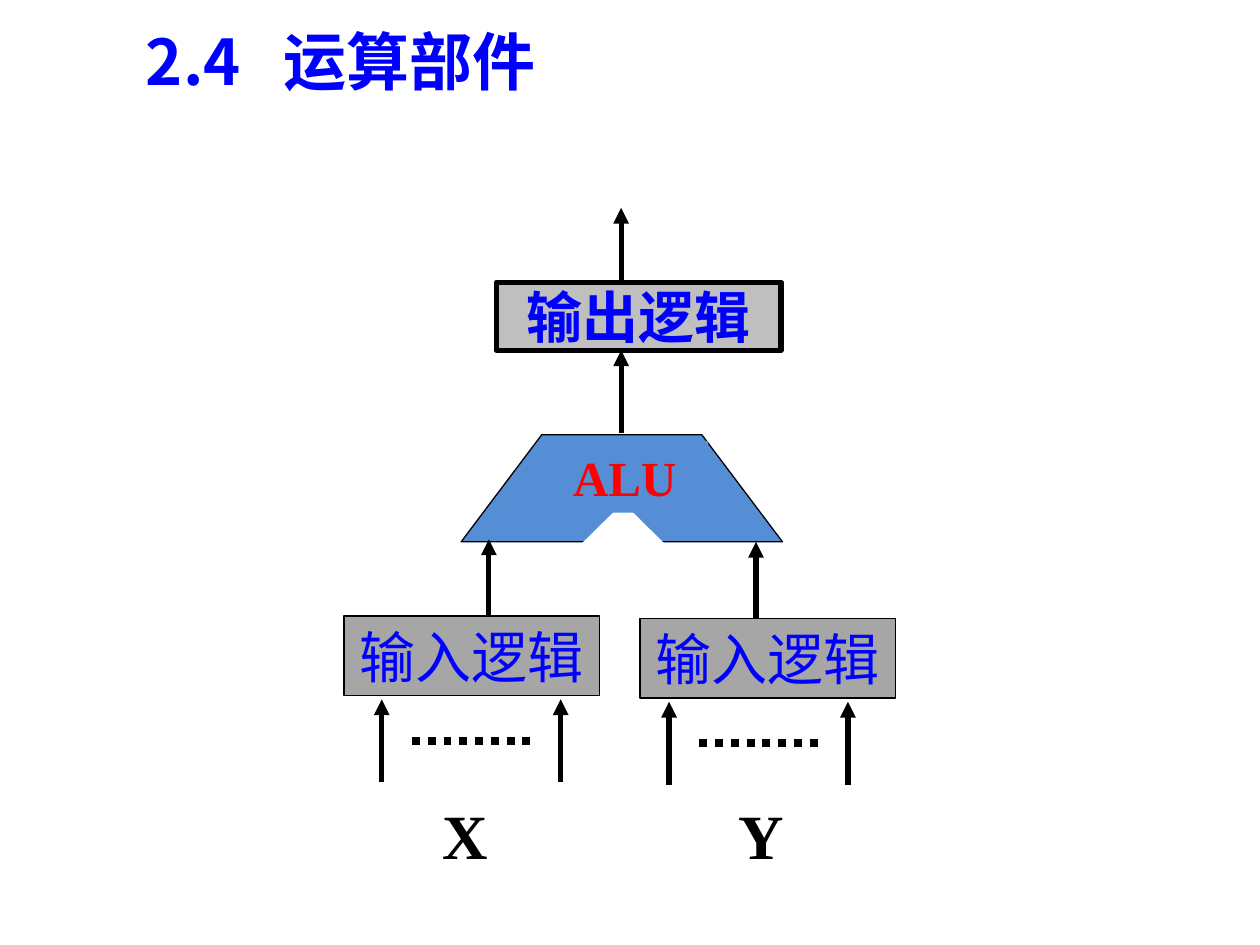
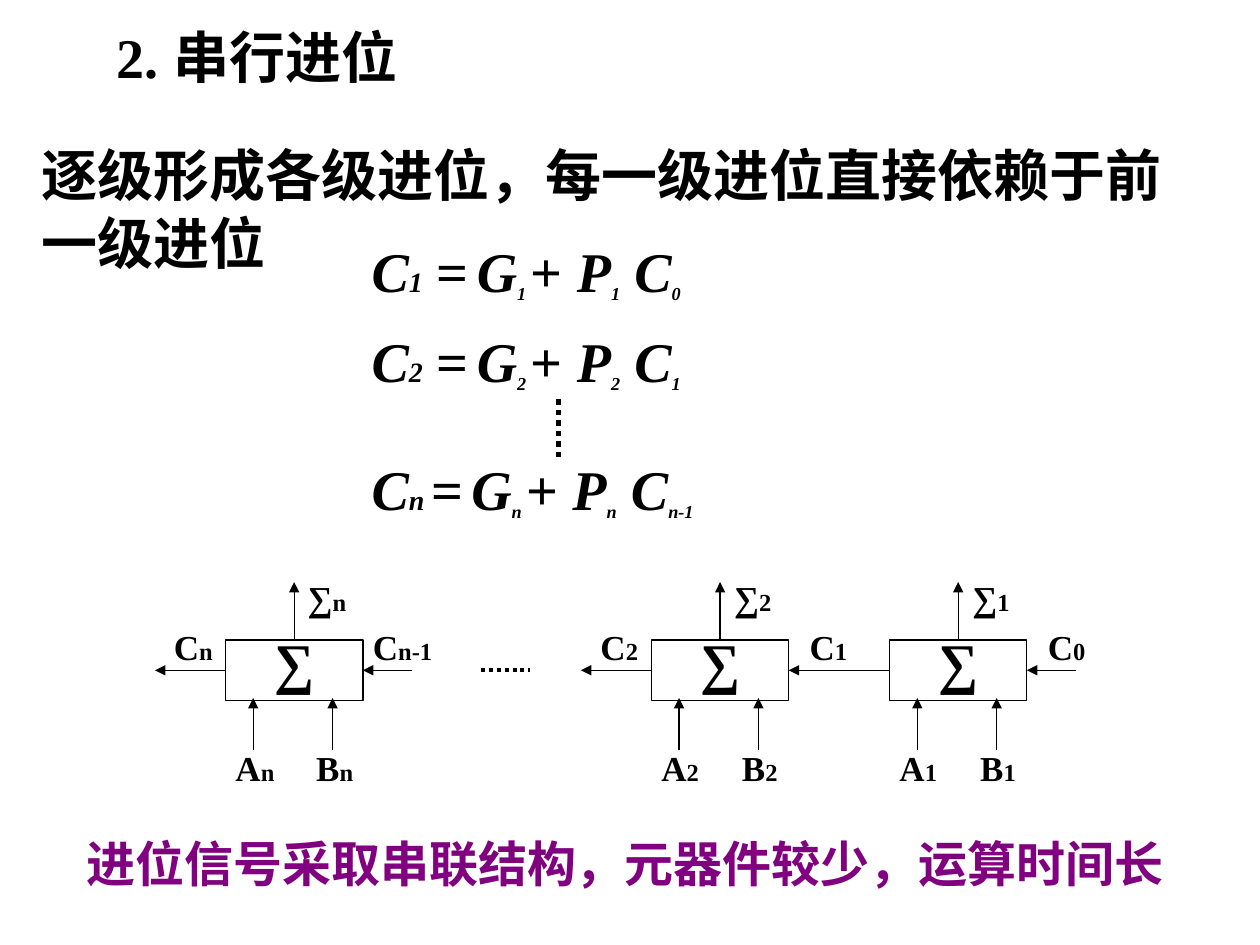
from dataclasses import dataclass

from lxml import etree
from pptx import Presentation, util as u
from pptx.dml.color import RGBColor
from pptx.enum import dml, shapes, text
from pptx.oxml.ns import qn


@dataclass(frozen=True)
class Theme:
    latin: str = "Times New Roman"
    cjk: str = "Noto Sans CJK SC"
    black: str = "000000"
    white: str = "FFFFFF"
    blue: str = "0000FF"
    red: str = "FF0000"
    purple: str = "800080"
    alu_blue: str = "558ED5"
    output_gray: str = "BFBFBF"
    input_gray: str = "A6A6A6"
    title: int = 36
    body: int = 32
    note: int = 28
    signal: int = 20
    index: int = 14
    equation_index: int = 16
    subscript: int = 18
    thick: float = 3
    thin: float = 0.75


theme = Theme()
rgb = RGBColor.from_string
center = text.PP_ALIGN.CENTER
rectangle = shapes.MSO_SHAPE.RECTANGLE


def write(holder, pieces, size=theme.body, color=theme.black, font=theme.latin,
          bold=True, align=text.PP_ALIGN.LEFT, spacing=None, tab=None, **frame_format):
    """Fill holder with one paragraph; pieces are (string, format overrides)."""
    frame = holder.text_frame
    defaults = {"word_wrap": True, "vertical_anchor": text.MSO_ANCHOR.TOP}
    for name, value in {**defaults, **frame_format}.items():
        setattr(frame, name, value)
    paragraph = frame.paragraphs[0]
    if tab:
        stops = etree.SubElement(paragraph._p.get_or_add_pPr(), qn("a:tabLst"))
        etree.SubElement(stops, qn("a:tab"), pos=str(u.Inches(tab)), algn="l")
    paragraph.alignment = align
    if spacing:
        paragraph.line_spacing = spacing
    for content, overrides in pieces:
        run = paragraph.add_run()
        run.text = content
        look = {"size": size, "bold": bold, "name": font, **overrides}
        baseline = look.pop("baseline", None)
        look["size"] = u.Pt(look["size"])
        for name, value in look.items():
            setattr(run.font, name, value)
        run.font.color.rgb = rgb(color)
        properties = run.font._element
        if baseline:
            properties.set("baseline", str(baseline * 1000))
        properties.find(qn("a:latin")).addnext(
            properties.makeelement(qn("a:ea"), {"typeface": theme.cjk}))


def wire(slide, start, end, width, arrow=True):
    """Draw a line with its arrowhead at end, or a dotted one without arrowhead."""
    line = slide.shapes.add_connector(
        shapes.MSO_CONNECTOR.STRAIGHT, *map(u.Inches, (*start, *end)))
    line.line.width = u.Pt(width)
    line.line.color.rgb = rgb(theme.black)
    if arrow:
        etree.SubElement(line.line._get_or_add_ln(), qn("a:tailEnd"), type="triangle")
    else:
        line.line.dash_style = dml.MSO_LINE.ROUND_DOT
    etree.SubElement(line._element.spPr, qn("a:effectLst"))
    return line


deck = Presentation()
deck.slide_width, deck.slide_height = u.Inches(10), u.Inches(7.5)
blank = deck.slide_layouts[6]

# Slide 1: arithmetic unit
unit = deck.slides.add_slide(blank)
heading = unit.shapes.add_textbox(*map(u.Inches, (1.06, 0.13, 8.09, 0.71)))
write(heading, [("2.4\t运算部件", {})], theme.title, theme.blue, theme.cjk, tab=1.09)

outline = unit.shapes.build_freeform(u.Inches(3.66), u.Inches(4.3), scale=1.0)
outline.add_line_segments(
    [(u.Inches(x), u.Inches(y)) for x, y in ((4.3, 3.45), (5.57, 3.45), (6.21, 4.3))])
alu = outline.convert_to_shape()
notch = unit.shapes.add_shape(
    shapes.MSO_SHAPE.ISOSCELES_TRIANGLE, *map(u.Inches, (4.6, 3.99, 0.69, 0.34)))
alu_name = unit.shapes.add_shape(rectangle, *map(u.Inches, (4.45, 3.5, 1.17, 0.57)))
output_logic = unit.shapes.add_shape(rectangle, *map(u.Inches, (3.94, 2.24, 2.26, 0.54)))
for part, fill, border in (
    (alu, theme.alu_blue, theme.thin),
    (notch, theme.white, None),
    (alu_name, theme.alu_blue, None),
    (output_logic, theme.output_gray, theme.thick),
):
    part.shadow.inherit = False
    part.fill.solid()
    part.fill.fore_color.rgb = rgb(fill)
    if border:
        part.line.color.rgb = rgb(theme.black)
        part.line.width = u.Pt(border)
    else:
        part.line.fill.background()
write(alu_name, [("ALU", {})], theme.note, theme.red)
write(output_logic, [("输出逻辑", {})], color=theme.blue, align=center,
      vertical_anchor=text.MSO_ANCHOR.MIDDLE, margin_left=0, margin_right=0)

for bottom, tip in ((3.44, 2.78), (2.24, 1.65)):
    wire(unit, (4.93, bottom), (4.93, tip), theme.thick)

for operand, left, top, first_input, feed in (
    ("X", 2.73, 4.89, 3.03, 3.88),
    ("Y", 5.08, 4.91, 5.31, 6.0),
):
    wire(unit, (feed, top + 0.04), (feed, top - 0.61), theme.thick)
    input_logic = unit.shapes.add_shape(rectangle, *map(u.Inches, (left, top, 2.03, 0.63)))
    input_logic.shadow.inherit = False
    input_logic.fill.solid()
    input_logic.fill.fore_color.rgb = rgb(theme.input_gray)
    input_logic.line.color.rgb = rgb(theme.black)
    input_logic.line.width = u.Pt(theme.thin)
    write(input_logic, [("输入逻辑", {})], color=theme.blue, bold=False, align=center)
    for x in (first_input, first_input + 1.42):
        wire(unit, (x, top + 1.32), (x, top + 0.66), theme.thick)
    wire(unit, (first_input + 0.24, top + 0.99), (first_input + 1.22, top + 0.99),
         4.5, arrow=False)
    operand_name = unit.shapes.add_textbox(*map(u.Inches, (left + 0.68, 6.27, 0.57, 0.71)))
    write(operand_name, [(operand, {})], theme.title, align=center, word_wrap=False)

# Slide 2: ripple carry
ripple = deck.slides.add_slide(blank)
for at, content, size, color in (
    ((0.83, 0.13, 2.91, 0.63), "2. 串行进位", theme.body, theme.black),
    ((0.23, 1.07, 9.21, 1.17), "逐级形成各级进位，每一级进位直接依赖于前一级进位",
     theme.body, theme.black),
    ((0.59, 6.57, 8.9, 0.57), "进位信号采取串联结构，元器件较少，运算时间长",
     theme.note, theme.purple),
):
    statement = ripple.shapes.add_textbox(*map(u.Inches, at))
    write(statement, [(content, {})], size, color)

italic = {"italic": True}
sub = {"italic": True, "size": theme.subscript, "baseline": -25}
for index, previous, top, gap in (
    ("1", "0", 1.83, theme.body),
    ("2", "1", 2.54, theme.body),
    ("n", "n-1", 3.56, theme.equation_index),
):
    equation = ripple.shapes.add_textbox(*map(u.Inches, (2.85, top, 2.99, 0.63)))
    write(equation, [
        ("C", italic), (index, {"italic": True, "size": theme.equation_index}),
        (" ", {"size": gap}), ("=", {}), (" ", {"size": theme.subscript}),
        ("G", italic), (index + " ", sub), ("+ ", {}),
        ("P", italic), (index, sub), (" ", {}), ("C", italic), (previous, sub),
    ])
wire(ripple, (4.43, 3.17), (4.43, 3.64), theme.thick, arrow=False)
wire(ripple, (3.82, 5.32), (4.21, 5.32), 2.25, arrow=False)

small = {"size": theme.index}
box_top, box_width, box_height = 5.08, 1.09, 0.48
carry_y = box_top + box_height / 2
lower_adder = None
for index, left, carry_in, carry_in_length, sends_carry in (
    ("1", 7.06, "0", 0.39, False),
    ("2", 5.17, "1", 0.8, True),
    ("n", 1.79, "n-1", 0.39, True),
):
    right, middle = left + box_width, left + box_width / 2
    adder = ripple.shapes.add_shape(
        rectangle, *map(u.Inches, (left, box_top, box_width, box_height)))
    adder.shadow.inherit = False
    adder.fill.background()
    adder.line.color.rgb = rgb(theme.black)
    adder.line.width = u.Pt(theme.thin)
    write(adder, [("∑", {})], align=center, spacing=0.7)

    for x in (left + 0.22, left + 0.85):
        wire(ripple, (x, 5.95), (x, 5.54), theme.thin)
    sum_out = wire(ripple, (middle, box_top), (middle, 4.62), theme.thin)
    sum_out.begin_connect(adder, 0)
    carry = wire(ripple, (right + carry_in_length, carry_y), (right, carry_y), theme.thin)
    carry.end_connect(adder, 3)
    if index == "2":
        carry.begin_connect(lower_adder, 1)

    signals = [
        ((left + 0.37, 4.62, 0.87, 0.33), "∑", index),
        ((left + 1.01, 5.01, 0.79, 0.33), "C", carry_in),
    ]
    if sends_carry:
        carry_out = wire(ripple, (left, carry_y), (left - 0.56, carry_y), theme.thin)
        carry_out.begin_connect(adder, 1)
        signals.append(((left - 0.57, 5.01, 0.63, 0.33), "C", index))
    for at, symbol, suffix in signals:
        signal = ripple.shapes.add_textbox(*map(u.Inches, at))
        write(signal, [(symbol, {}), (suffix, small)], theme.signal,
              align=center, spacing=0.7)
    operands = ripple.shapes.add_textbox(*map(u.Inches, (left - 0.02, 5.97, 1.18, 0.33)))
    write(operands, [("A", {}), (index, small), ("\tB", {}), (index, small)],
          theme.signal, spacing=0.7, tab=0.64)
    lower_adder = adder

deck.save("out.pptx")
